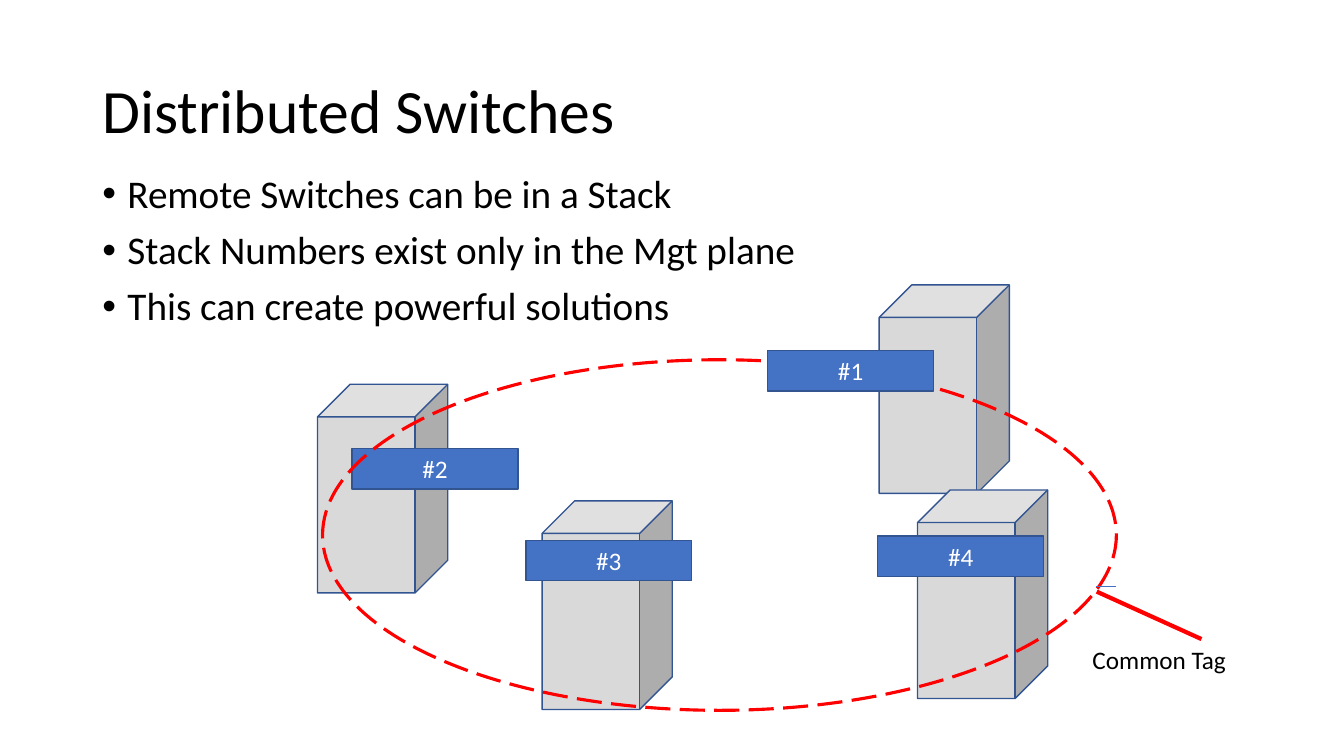
from pptx import Presentation
from pptx.util import Pt
from pptx.dml.color import RGBColor
from pptx.enum.dml import MSO_LINE
from pptx.enum.shapes import MSO_CONNECTOR, MSO_SHAPE
from pptx.enum.text import MSO_ANCHOR, PP_ALIGN
from lxml import etree

CUBE, RECT, OVAL = MSO_SHAPE.CUBE, MSO_SHAPE.RECTANGLE, MSO_SHAPE.OVAL
STRAIGHT = MSO_CONNECTOR.STRAIGHT
LONG_DASH = MSO_LINE.LONG_DASH
TOP, MIDDLE = MSO_ANCHOR.TOP, MSO_ANCHOR.MIDDLE
LEFT, CENTER = PP_ALIGN.LEFT, PP_ALIGN.CENTER
A = "http://schemas.openxmlformats.org/drawingml/2006/main"

THEME = {
    "font": "Calibri",
    "text": RGBColor(0x00, 0x00, 0x00),
    "label_text": RGBColor(0xFF, 0xFF, 0xFF),
    "label": RGBColor(0x44, 0x72, 0xC4),
    "outline": RGBColor(0x32, 0x54, 0x91),
    "switch": RGBColor(0xD9, 0xD9, 0xD9),
    "tag": RGBColor(0xFF, 0x00, 0x00),
    "title_size": 44,
    "body_size": 28,
    "label_size": 18,
}

prs = Presentation()
prs.slide_width, prs.slide_height = Pt(960), Pt(540)
s = prs.slides.add_slide(prs.slide_layouts[6])


def add_shape(kind, x, y, w, h, fill, line, weight):
    sp = s.shapes.add_shape(kind, Pt(x), Pt(y), Pt(w), Pt(h))
    sp.shadow.inherit = False
    if fill is None:
        sp.fill.background()
    else:
        sp.fill.solid()
        sp.fill.fore_color.rgb = fill
    sp.line.color.rgb = line
    sp.line.width = Pt(weight)
    return sp


def write(sp, lines, size, color, anchor=TOP, align=LEFT, spacing=1.0):
    tf = sp.text_frame
    tf.word_wrap = True
    tf.vertical_anchor = anchor
    for i, line in enumerate(lines):
        p = tf.add_paragraph() if i else tf.paragraphs[0]
        p.alignment = align
        p.line_spacing = spacing
        r = p.add_run()
        r.text = line
        r.font.name = THEME["font"]
        r.font.size = Pt(size)
        r.font.color.rgb = color
    return tf


# Switches
for x, y in [(226.8, 274.5), (387.2, 357.8), (628, 203.5), (655.4, 350)]:
    add_shape(CUBE, x, y, 93, 149, THEME["switch"], THEME["outline"], 1)

# Title
sp = s.shapes.add_textbox(Pt(66), Pt(28.8), Pt(828), Pt(104.4))
write(sp, ["Distributed Switches"], THEME["title_size"], THEME["text"],
      anchor=MIDDLE, spacing=0.9)

# Bullets
sp = s.shapes.add_textbox(Pt(66), Pt(121), Pt(828), Pt(386.6))
tf = write(sp, ["Remote Switches can be in a Stack",
                "Stack Numbers exist only in the Mgt plane",
                "This can create powerful solutions"],
           THEME["body_size"], THEME["text"], spacing=0.9)
for p in tf.paragraphs:
    p.space_before = Pt(10)
    pPr = p._p.get_or_add_pPr()
    pPr.set("marL", str(Pt(18)))
    pPr.set("indent", str(-Pt(18)))
    etree.SubElement(pPr, f"{{{A}}}buFont", typeface="Arial")
    etree.SubElement(pPr, f"{{{A}}}buChar", char="•")

# Stack numbers and the common tag ring: #2 lies under the ring, the rest over it
for name, x, y in [("#2", 251.5, 320.5), ("ring", 230.4, 257), ("#4", 627, 383),
                   ("#1", 548.4, 250.4), ("#3", 375.6, 386)]:
    if name == "ring":
        ring = add_shape(OVAL, x, y, 567, 250.4, None, THEME["tag"], 2.25)
        ring.line.dash_style = LONG_DASH
    else:
        sp = add_shape(RECT, x, y, 118.4, 28.8, THEME["label"], THEME["outline"], 1)
        write(sp, [name], THEME["label_size"], THEME["label_text"], MIDDLE, CENTER)

# Common tag callout
for x1, y1, x2, y2, color, weight in [
        (782.6, 419, 797, 419, THEME["label"], 0.5),
        (783.4, 422.6, 858.2, 456.5, THEME["tag"], 3)]:
    cn = s.shapes.add_connector(STRAIGHT, Pt(x1), Pt(y1), Pt(x2), Pt(y2))
    cn.line.color.rgb = color
    cn.line.width = Pt(weight)
    etree.SubElement(cn._element.spPr, f"{{{A}}}effectLst")
sp = s.shapes.add_textbox(Pt(773.3), Pt(456.5), Pt(205), Pt(29))
write(sp, ["Common Tag"], THEME["label_size"], THEME["text"])

prs.save("out.pptx")
